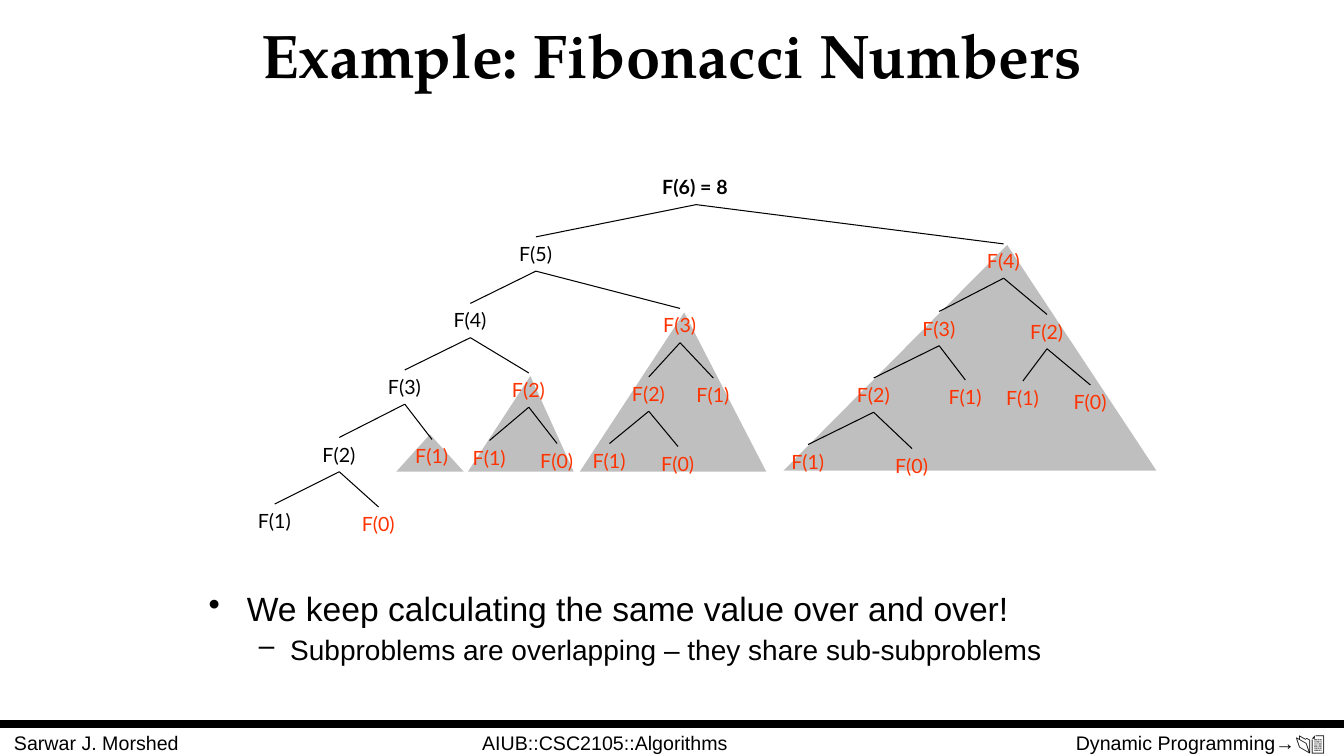
from lxml.etree import SubElement
from pptx import Presentation
from pptx.dml.color import RGBColor
from pptx.enum.shapes import MSO_CONNECTOR as Connector, MSO_SHAPE as Shape
from pptx.enum.text import MSO_ANCHOR as Anchor, MSO_AUTO_SIZE as AutoSize, PP_ALIGN as Align
from pptx.oxml.ns import qn
from pptx.util import Inches, Pt

BLACK, ORANGE, GRAY = "000000", "FF3300", "808080"
BODY_FONT, TITLE_FONT, TREE_FONT = "Arial", "TeX Gyre Pagella", "Lato"
LABEL_HEIGHT = 0.34
BOTTOM_SITE, TOP_SITE = 2, 0

# left, top, width, height, apex position
SHADED_SUBTREES = [
    (7.77, 2.43, 3.7, 2.24, 0.6),
    (5.75, 3.1, 1.85, 1.58, 0.56),
    (4.64, 3.73, 1.05, 0.95, 0.59),
    (3.93, 4.31, 0.67, 0.37, 0.5),
]

# left and top of every call label, in the order the calls are made
CALL_PLACES = [
    (6.47, 1.69), (5.05, 2.35), (4.4, 3.01), (3.75, 3.67), (3.1, 4.34),
    (2.46, 5), (3.49, 5.03), (4.02, 4.36), (4.98, 3.7), (4.59, 4.37),
    (5.26, 4.4), (6.48, 3.06), (6.17, 3.74), (5.78, 4.4), (6.46, 4.43),
    (6.81, 3.75), (9.69, 2.42), (9.05, 3.09), (8.4, 3.75), (7.75, 4.41),
    (8.78, 4.45), (9.31, 3.77), (10.12, 3.12), (9.88, 3.78), (10.55, 3.82),
]

FOOTERS = [
    (0.04, 2.4, Align.LEFT, "Sarwar J. Morshed"),
    (3.89, 4.22, Align.CENTER, "AIUB::CSC2105::Algorithms"),
    (9.58, 3.66, Align.RIGHT, "Dynamic Programming→📂📄"),
]

# text, size, bullet, left margin, hanging indent, space before
BULLETS = [
    ("We keep calculating the same value over and over!", 24, "•", 0.38, 0.38, 0),
    ("Subproblems are overlapping – they share sub-subproblems", 20, "–", 0.81, 0.31, 5),
]


def color(value):
    return RGBColor.from_string(value)


class SlideBuilder:
    def __init__(self, page):
        self.page = page

    def box(self, left, top, width, height, wrap=True):
        box = self.page.shapes.add_textbox(
            Inches(left), Inches(top), Inches(width), Inches(height))
        box.text_frame.word_wrap = wrap
        return box

    def span(self, para, text, size, font=BODY_FONT, fill=BLACK, bold=False):
        span = para.add_run()
        span.text = text
        span.font.size = Pt(size)
        span.font.name = font
        span.font.bold = bold
        span.font.color.rgb = color(fill)

    def title(self, text):
        frame = self.box(0.07, 0.07, 13.19, 0.92).text_frame
        frame.vertical_anchor = Anchor.MIDDLE
        para = frame.paragraphs[0]
        para.alignment = Align.CENTER
        self.span(para, text, 44, TITLE_FONT, bold=True)

    def footer(self, left, width, align, text):
        para = self.box(left, 7.2, width, 0.52).text_frame.paragraphs[0]
        para.alignment = align
        self.span(para, text, 14)

    def bullets(self, items):
        frame = self.box(1.97, 5.83, 9.63, 1.08).text_frame
        for index, (text, size, mark, margin, hanging, before) in enumerate(items):
            para = frame.add_paragraph() if index else frame.paragraphs[0]
            para.level = index
            para.line_spacing = 0.9
            para.space_before = Pt(before)
            properties = para._p.get_or_add_pPr()
            properties.set("marL", str(Inches(margin)))
            properties.set("indent", str(-Inches(hanging)))
            SubElement(properties, qn("a:buChar")).set("char", mark)
            self.span(para, text, size)

    def triangle(self, left, top, width, height, apex):
        shape = self.page.shapes.add_shape(
            Shape.ISOSCELES_TRIANGLE,
            Inches(left), Inches(top), Inches(width), Inches(height))
        shape.adjustments[0] = apex
        shape.shadow.inherit = False
        shape.line.fill.background()
        shape.fill.solid()
        shape.fill.fore_color.rgb = color(GRAY)
        tint = shape.fill._xPr.find(".//" + qn("a:srgbClr"))
        SubElement(tint, qn("a:alpha")).set("val", "50000")

    def line(self, start, end, weight):
        line = self.page.shapes.add_connector(
            Connector.STRAIGHT, *(Inches(value) for value in start + end))
        line.line.color.rgb = color(BLACK)
        line.line.width = Pt(weight)
        SubElement(line._element.spPr, qn("a:effectLst"))
        return line

    def branch(self, parent, child):
        line = self.line((0, 0), (0, 0), 0.75)
        line.begin_connect(parent, BOTTOM_SITE)
        line.end_connect(child, TOP_SITE)

    def call_label(self, left, top, text, width=0.53, fill=BLACK, bold=False):
        box = self.box(left, top, width, LABEL_HEIGHT, wrap=False)
        box.text_frame.auto_size = AutoSize.SHAPE_TO_FIT_TEXT
        self.span(box.text_frame.paragraphs[0], text, 14, TREE_FONT, fill, bold)
        return box

    def call_tree(self, number, places, repeated=False, parent=None):
        """Draw F(number) and its calls; every second call repeats earlier work."""
        left, top = next(places)
        if parent is None:
            label = self.call_label(left, top, f"F({number}) = 8", 0.87, bold=True)
        else:
            label = self.call_label(
                left, top, f"F({number})", fill=ORANGE if repeated else BLACK)
            self.branch(parent, label)
        if number > 1:
            self.call_tree(number - 1, places, repeated, label)
            self.call_tree(number - 2, places, True, label)


def main():
    deck = Presentation()
    deck.slide_width, deck.slide_height = Inches(13.33), Inches(7.5)
    builder = SlideBuilder(deck.slides.add_slide(deck.slide_layouts[6]))

    builder.line((0, 7.18), (13.33, 7.18), 6)
    for footer in FOOTERS:
        builder.footer(*footer)
    for subtree in SHADED_SUBTREES:
        builder.triangle(*subtree)
    builder.title("Example: Fibonacci Numbers")
    builder.bullets(BULLETS)
    builder.call_tree(6, iter(CALL_PLACES))

    deck.save("out.pptx")


if __name__ == "__main__":
    main()
